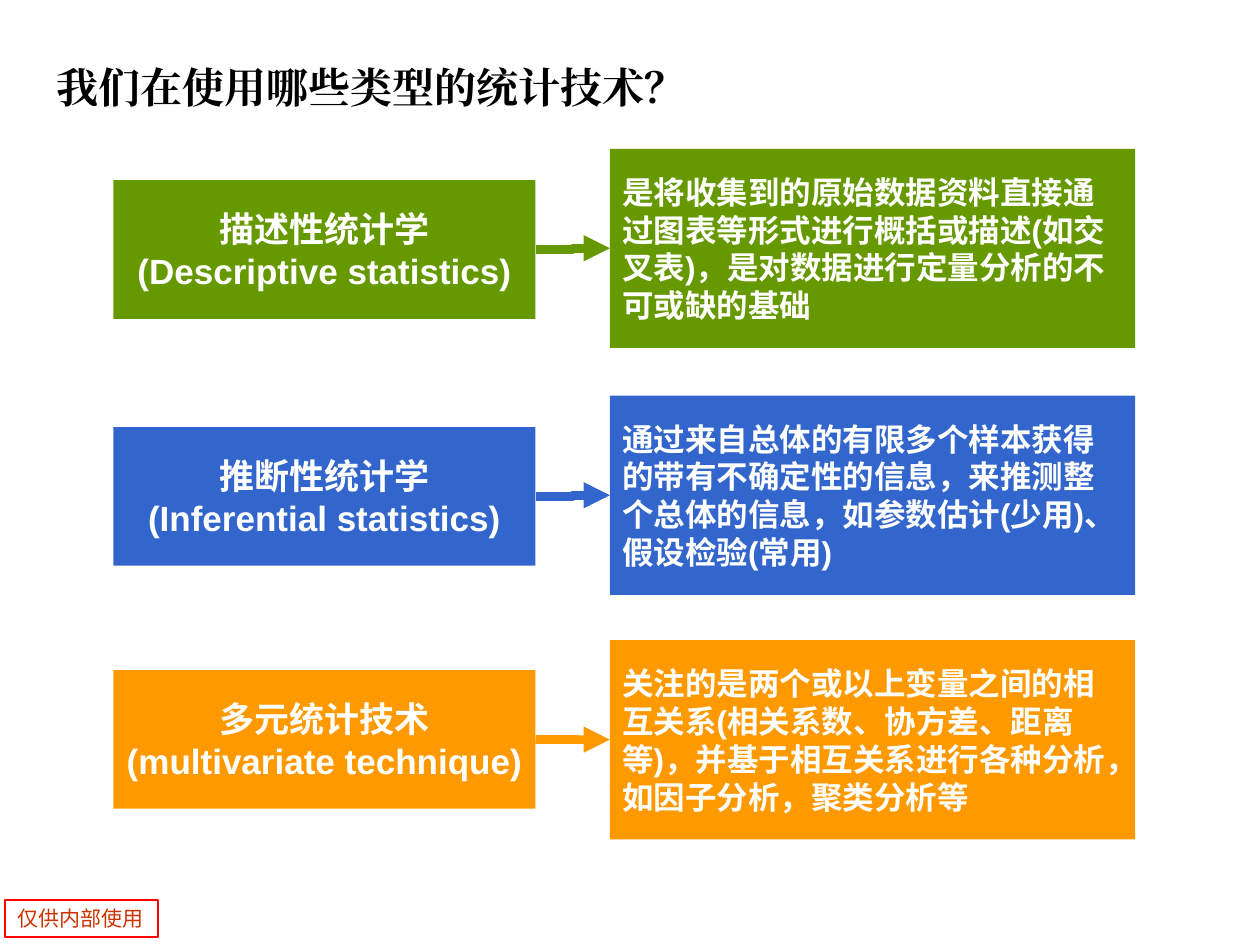
from pptx import Presentation
from pptx.dml.color import RGBColor
from pptx.enum.shapes import MSO_CONNECTOR, MSO_SHAPE
from pptx.enum.text import MSO_ANCHOR, PP_ALIGN
from pptx.oxml.ns import qn
from pptx.util import Pt
from lxml.etree import SubElement

LEFT_X, LEFT_W, LEFT_H = 64.8, 241.2, 79.2
RIGHT_X, RIGHT_W, RIGHT_H = 348.5, 300.2, 113.8

# colour, name top, description top, connector, name, description
TECHNIQUES = [
    ("669900", 103, 85, MSO_CONNECTOR.ELBOW,
     "描述性统计学\n(Descriptive statistics)",
     "是将收集到的原始数据资料直接通过图表等形式进行概括或描述(如交叉表)，"
     "是对数据进行定量分析的不可或缺的基础"),
    ("3366CC", 244.1, 226.1, MSO_CONNECTOR.ELBOW,
     "推断性统计学\n(Inferential statistics)",
     "通过来自总体的有限多个样本获得的带有不确定性的信息，"
     "来推测整个总体的信息，如参数估计(少用)、假设检验(常用)"),
    ("FF9900", 383, 365.8, MSO_CONNECTOR.STRAIGHT,
     "多元统计技术\n(multivariate technique)",
     "关注的是两个或以上变量之间的相互关系(相关系数、协方差、距离等)，"
     "并基于相互关系进行各种分析，如因子分析，聚类分析等"),
]


def rgb(color):
    return RGBColor.from_string(color)


def write(sp, text, size, color, font="Arial", bold=True,
          align=PP_ALIGN.LEFT, anchor=MSO_ANCHOR.MIDDLE):
    tf = sp.text_frame
    tf.word_wrap = True
    tf.vertical_anchor = anchor
    tf.text = text
    for p in tf.paragraphs:
        p.alignment = align
        for r in p.runs:
            r.font.size = Pt(size)
            r.font.bold = bold
            r.font.name = font
            r.font.color.rgb = rgb(color)
            SubElement(r.font._element, qn("a:ea")).set("typeface", font)


def add_title(s, text):
    sp = s.shapes.add_textbox(Pt(25.2), Pt(16.6), Pt(680.4), Pt(66.2))
    write(sp, text, 24, "000000", font="Times New Roman")


def add_box(s, x, y, w, h, fill=None, line=None):
    sp = s.shapes.add_shape(MSO_SHAPE.RECTANGLE, Pt(x), Pt(y), Pt(w), Pt(h))
    sp.shadow.inherit = False
    if fill:
        sp.fill.solid()
        sp.fill.fore_color.rgb = rgb(fill)
    else:
        sp.fill.background()
    if line:
        sp.line.color.rgb = rgb(line)
        sp.line.width = Pt(1)
    else:
        sp.line.fill.background()
    return sp


def add_arrow(s, kind, start, end, color):
    """Join the right side of start to the left side of end."""
    cxn = s.shapes.add_connector(kind, 0, 0, 0, 0)
    cxn.begin_connect(start, 3)
    cxn.end_connect(end, 1)
    cxn.line.color.rgb = rgb(color)
    cxn.line.width = Pt(5)
    SubElement(cxn.line._get_or_add_ln(), qn("a:tailEnd")).set("type", "triangle")
    SubElement(cxn._element.spPr, qn("a:effectLst"))


def add_technique(s, color, name_y, desc_y, kind, name, desc):
    left = add_box(s, LEFT_X, name_y, LEFT_W, LEFT_H, fill=color)
    write(left, name, 20, "FFFFFF", align=PP_ALIGN.CENTER)
    right = add_box(s, RIGHT_X, desc_y, RIGHT_W, RIGHT_H, fill=color)
    write(right, desc, 18, "FFFFFF")
    add_arrow(s, kind, left, right, color)


def add_stamp(s, text):
    sp = add_box(s, 2.9, 514.3, 87.6, 21.2, line="FF0000")
    write(sp, text, 12, "CC3300", font="Noto Sans CJK SC", bold=False)


def main():
    prs = Presentation()
    prs.slide_width, prs.slide_height = Pt(720), Pt(540)
    s = prs.slides.add_slide(prs.slide_layouts[6])
    add_stamp(s, "仅供内部使用")
    add_title(s, "我们在使用哪些类型的统计技术？")
    for technique in TECHNIQUES:
        add_technique(s, *technique)
    prs.save("out.pptx")


if __name__ == "__main__":
    main()
